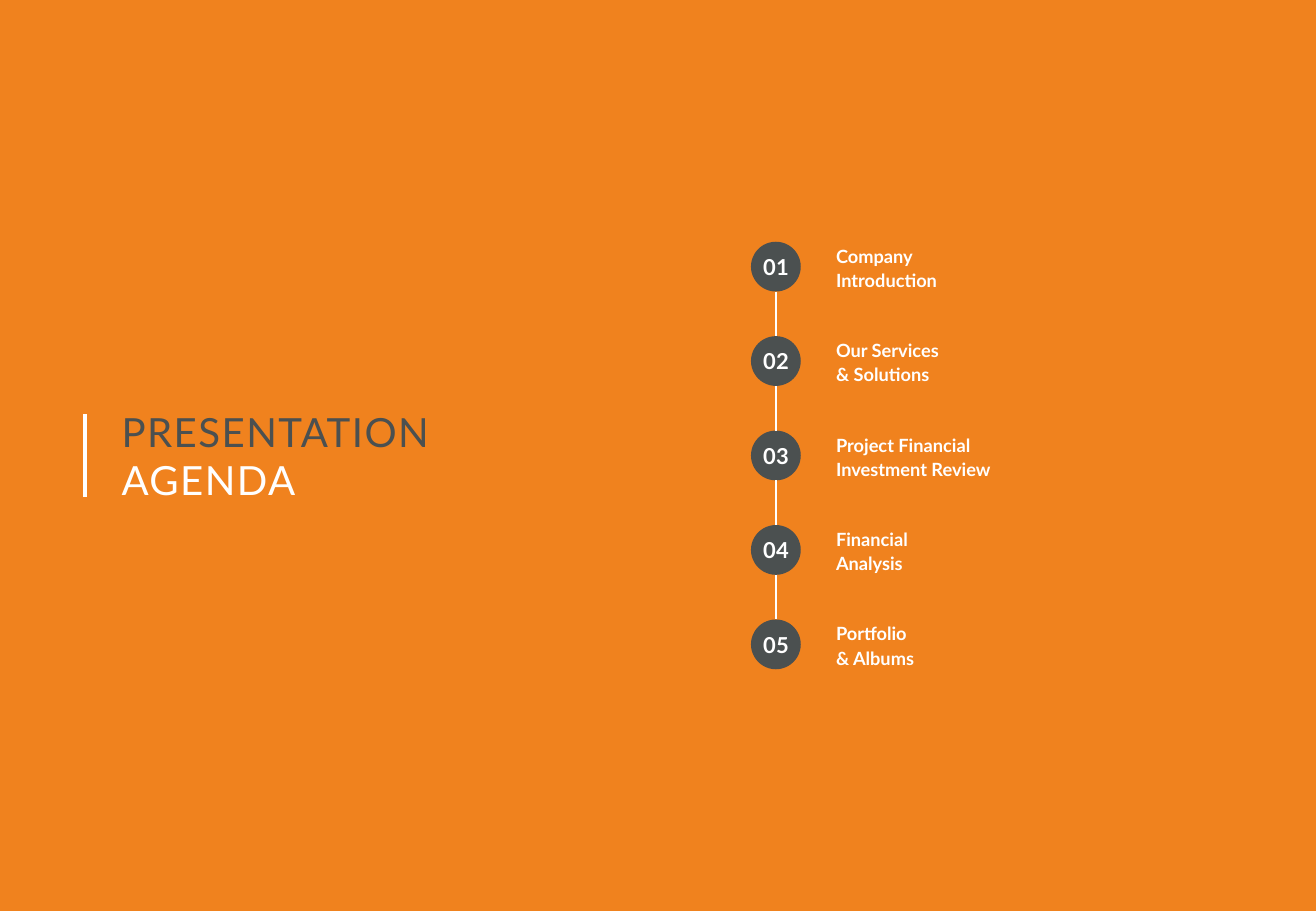
from lxml import etree
from pptx import Presentation
from pptx.dml.color import RGBColor
from pptx.enum.shapes import MSO_CONNECTOR, MSO_SHAPE
from pptx.enum.text import MSO_ANCHOR, MSO_AUTO_SIZE, PP_ALIGN
from pptx.oxml.ns import qn
from pptx.util import Inches, Pt

COLORS = {"orange": "F0821E", "slate": "4B5050", "white": "FFFFFF"}
FORMATS = {
    "title": {"name": "Lato", "size": Pt(23.8)},
    "label": {"name": "Lato", "size": Pt(10.8), "bold": True},
    "number": {"name": "Lato", "size": Pt(13), "bold": True},
}
AGENDA = [
    ("Company", "Introduction"),
    ("Our Services", "& Solutions"),
    ("Project Financial", "Investment Review"),
    ("Financial", "Analysis"),
    ("Portfolio", "& Albums"),
]


def color(name):
    return RGBColor.from_string(COLORS[name])


def write_line(paragraph, text, style, color_name="white", tracking=0):
    """Write one run; tracking is letter spacing in points."""
    run = paragraph.add_run()
    run.text = text
    for key, value in FORMATS[style].items():
        setattr(run.font, key, value)
    run.font.color.rgb = color(color_name)
    if tracking:
        run._r.get_or_add_rPr().set("spc", str(round(tracking * 100)))


def clear_margins(frame):
    for side in ("left", "top", "right", "bottom"):
        setattr(frame, f"margin_{side}", 0)


def add_text(slide, left, top, width, height):
    """Add a wrapping text box without margins and return its frame."""
    box = slide.shapes.add_textbox(*map(Inches, (left, top, width, height)))
    frame = box.text_frame
    frame.word_wrap = True
    frame.auto_size = MSO_AUTO_SIZE.SHAPE_TO_FIT_TEXT
    clear_margins(frame)
    return frame


def add_vertical_line(slide, x, top, bottom, weight):
    line = slide.shapes.add_connector(
        MSO_CONNECTOR.STRAIGHT, *map(Inches, (x, top, x, bottom)))
    line.line.color.rgb = color("white")
    line.line.width = Pt(weight)
    etree.SubElement(line._element.spPr, qn("a:effectLst"))


def add_title(slide, left, top, width, height):
    add_vertical_line(slide, left, top + 0.06, top + height - 0.06, 2.25)
    frame = add_text(slide, left + 0.3, top, width - 0.3, height)
    write_line(frame.paragraphs[0], "PRESENTATION", "title", "slate", 0.9)
    write_line(frame.add_paragraph(), "AGENDA", "title", "white", 0.9)


def add_number(slide, left, top, diameter, text):
    circle = slide.shapes.add_shape(
        MSO_SHAPE.OVAL, *map(Inches, (left, top, diameter, diameter)))
    circle.shadow.inherit = False
    circle.fill.solid()
    circle.fill.fore_color.rgb = color("slate")
    circle.line.fill.background()
    frame = circle.text_frame
    frame.word_wrap = False
    frame.vertical_anchor = MSO_ANCHOR.MIDDLE
    clear_margins(frame)
    paragraph = frame.paragraphs[0]
    paragraph.alignment = PP_ALIGN.CENTER
    write_line(paragraph, text, "number", tracking=0.2)


def add_label(slide, left, top, width, height, lines):
    frame = add_text(slide, left, top, width, height)
    for index, text in enumerate(lines):
        paragraph = frame.add_paragraph() if index else frame.paragraphs[0]
        paragraph.line_spacing = 1.1
        write_line(paragraph, text, "label")


def add_agenda(slide, left, top, width, height, diameter=0.41):
    """Spread the numbered items evenly over the box and link the circles."""
    pitch = (height - diameter) / (len(AGENDA) - 1)
    for index, lines in enumerate(AGENDA):
        item_top = top + index * pitch
        add_label(slide, left + 0.7, item_top + 0.01, width - 0.7, 0.4, lines)
        add_number(slide, left, item_top, diameter, f"{index + 1:02}")
        if index:
            add_vertical_line(slide, left + diameter / 2,
                              item_top - pitch + diameter, item_top, 1)


def main():
    presentation = Presentation()
    presentation.slide_width = Inches(10.83)
    presentation.slide_height = Inches(7.5)
    slide = presentation.slides.add_slide(presentation.slide_layouts[6])
    slide.background.fill.solid()
    slide.background.fill.fore_color.rgb = color("orange")
    add_title(slide, 0.7, 3.35, 4.59, 0.8)
    add_agenda(slide, 6.18, 1.99, 2.65, 3.52)
    presentation.save("out.pptx")


if __name__ == "__main__":
    main()
